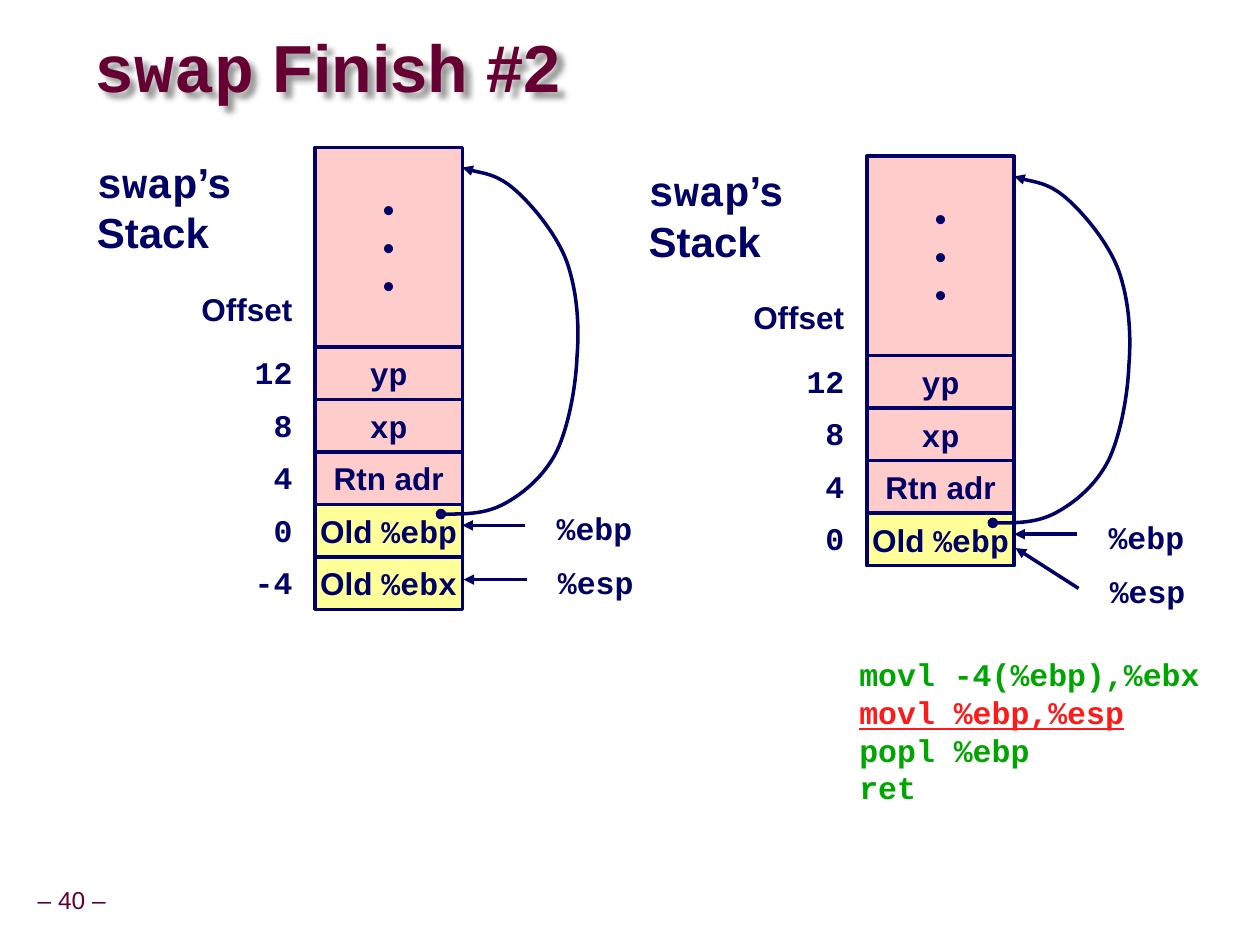
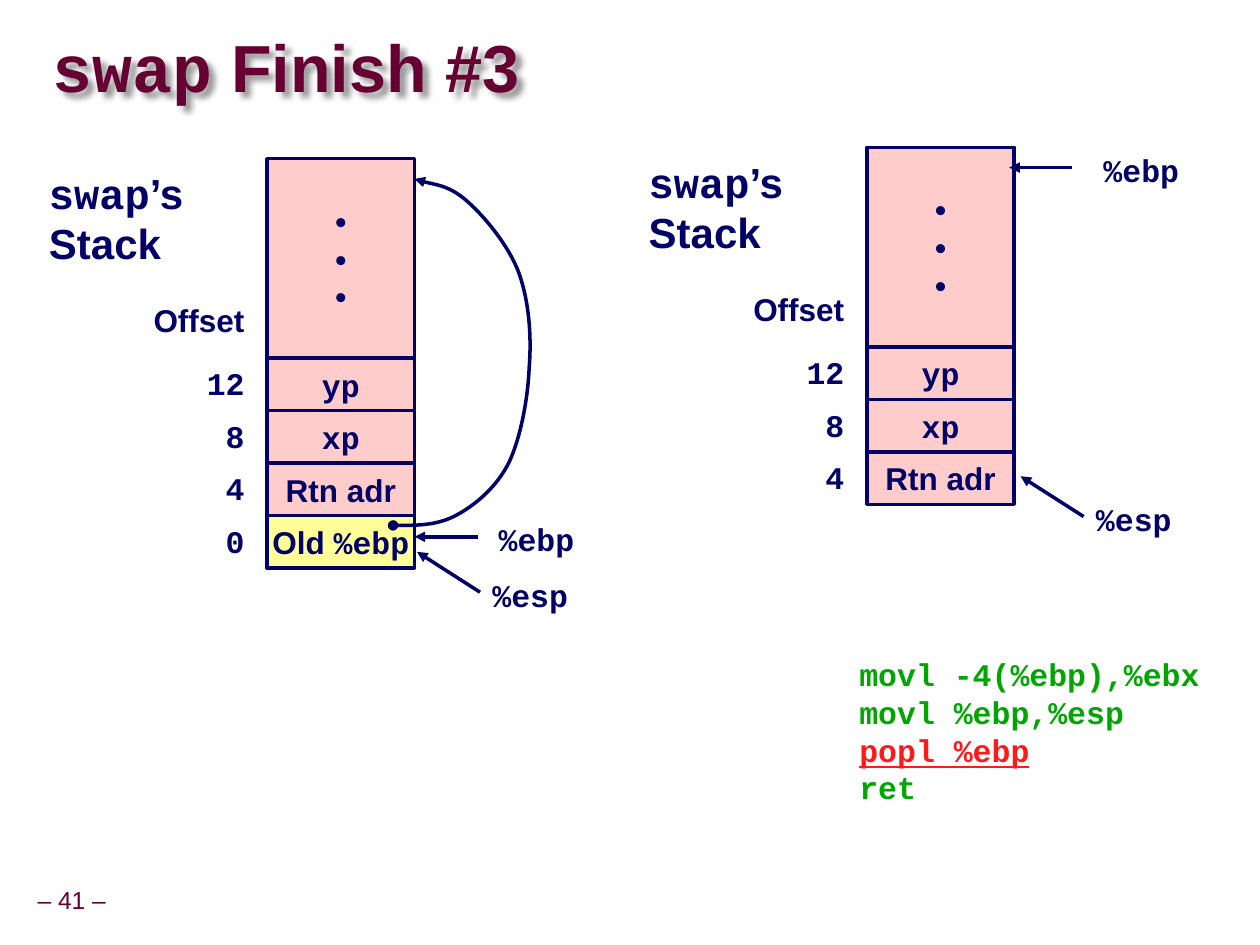
from dataclasses import dataclass
from typing import NamedTuple

from lxml.etree import SubElement
from pptx import Presentation
from pptx.dml.color import RGBColor
from pptx.enum.shapes import MSO_CONNECTOR, MSO_SHAPE
from pptx.enum.text import MSO_ANCHOR, MSO_AUTO_SIZE, PP_ALIGN
from pptx.oxml.ns import qn
from pptx.util import Inches, Pt

MAROON = RGBColor(0x66, 0x00, 0x33)
NAVY = RGBColor(0x00, 0x00, 0x66)
PINK = RGBColor(0xFF, 0xCC, 0xCC)
YELLOW = RGBColor(0xFF, 0xFF, 0x99)
GREEN = RGBColor(0x00, 0xA6, 0x00)
RED = RGBColor(0xFF, 0x1A, 0x1A)
SANS = "Arial"
MONO = "Courier New"

CELL_W = 1.17
CELL_H = 5 / 12
TOP_H = 19 / 12
ARROW_W = 0.5
LINE_RATIO = 1.2
CODE = ["movl -4(%ebp),%ebx", "movl %ebp,%esp", "popl %ebp", "ret"]
LINK_CURVE = [
    (1.0, 2.91), (1.17, 2.91), (1.35, 2.91), (1.5, 2.83),
    (1.65, 2.75), (1.82, 2.61), (1.92, 2.41),
    (2.01, 2.22), (2.07, 1.91), (2.08, 1.66),
    (2.1, 1.41), (2.08, 1.14), (2.0, 0.91),
    (1.92, 0.69), (1.72, 0.45), (1.58, 0.33),
    (1.44, 0.21), (1.24, 0.19), (1.17, 0.16),
]


class Span(NamedTuple):
    text: str
    font: str = SANS


class Cell(NamedTuple):
    spans: list[Span]
    fill: RGBColor = PINK


class Pointer(NamedTuple):
    register: str
    x: float
    y: float
    rise: float = 0
    gap: float = 0.15


@dataclass
class Stack:
    x: float
    y: float
    cells: list[Cell]
    pointers: list[Pointer]
    linked: bool = True


@dataclass
class Page:
    number: int
    title_x: float
    title_w: float
    heading: str
    current_line: int
    stacks: list[Stack]


ARGS = [
    Cell([Span("yp", MONO)]),
    Cell([Span("xp", MONO)]),
    Cell([Span("Rtn adr")]),
]
OLD_EBP = Cell([Span("Old "), Span("%ebp", MONO)], YELLOW)
OLD_EBX = Cell([Span("Old "), Span("%ebx", MONO)], YELLOW)
EBP = Pointer("%ebp", 1.67, 3.0)

PAGES = [
    Page(40, 0.75, 6.07, " Finish #2", 1, [
        Stack(2.5, 1.17, ARGS + [OLD_EBP, OLD_EBX],
              [EBP, Pointer("%esp", 1.68, 3.43)]),
        Stack(6.88, 1.24, ARGS + [OLD_EBP],
              [EBP, Pointer("%esp", 1.68, 3.43, rise=0.32)]),
    ]),
    Page(41, 0.42, 6.41, " Finish #3", 2, [
        Stack(2.12, 1.26, ARGS + [OLD_EBP],
              [EBP._replace(gap=0.07),
               Pointer("%esp", 1.69, 3.44, rise=0.32, gap=0)]),
        Stack(6.88, 1.17, ARGS,
              [Pointer("%ebp", 1.63, 0.16),
               Pointer("%esp", 1.72, 2.93, rise=0.32, gap=0)],
              linked=False),
    ]),
]


def add_run(p, span: Span, size: float, color: RGBColor, bold: bool = True):
    r = p.add_run()
    r.text = span.text
    r.font.name = span.font
    r.font.size = Pt(size)
    r.font.bold = bold
    r.font.color.rgb = color
    return r


def fill_text(tf, lines: list[list[Span]], size: float = 18, align=PP_ALIGN.LEFT) -> None:
    tf.word_wrap = False
    for i, spans in enumerate(lines):
        p = tf.add_paragraph() if i else tf.paragraphs[0]
        p.alignment = align
        p.line_spacing = Pt(size * LINE_RATIO)
        for span in spans:
            add_run(p, span, size, NAVY)


def add_label(s, x: float, y: float, w: float, h: float, lines: list[list[Span]],
              size: float = 18, align=PP_ALIGN.LEFT) -> None:
    sp = s.shapes.add_textbox(Inches(x), Inches(y), Inches(w), Inches(h))
    fill_text(sp.text_frame, lines, size, align)


def add_cell(s, x: float, y: float, h: float, lines: list[list[Span]], fill: RGBColor) -> None:
    sp = s.shapes.add_shape(MSO_SHAPE.RECTANGLE, Inches(x), Inches(y), Inches(CELL_W), Inches(h))
    sp.shadow.inherit = False
    sp.fill.solid()
    sp.fill.fore_color.rgb = fill
    sp.line.color.rgb = NAVY
    sp.line.width = Pt(2)
    sp.text_frame.vertical_anchor = MSO_ANCHOR.MIDDLE
    fill_text(sp.text_frame, lines, align=PP_ALIGN.CENTER)


def style_arrow(sp, head: str | None = None) -> None:
    sp.line.color.rgb = NAVY
    sp.line.width = Pt(2)
    ln = sp.element.spPr.find(qn("a:ln"))
    if head:
        SubElement(ln, qn("a:headEnd"), type=head)
    SubElement(ln, qn("a:tailEnd"), type="triangle")


def add_pointer(s, stack: Stack, pointer: Pointer) -> None:
    x, y = stack.x + pointer.x, stack.y + pointer.y
    sp = s.shapes.add_connector(MSO_CONNECTOR.STRAIGHT, Inches(x), Inches(y),
                                Inches(x - ARROW_W), Inches(y - pointer.rise))
    style_arrow(sp)
    SubElement(sp.element.spPr, qn("a:effectLst"))
    add_label(s, x + pointer.gap, y - 0.18, 0.8, 0.4, [[Span(pointer.register, MONO)]])


def add_link(s, stack: Stack) -> None:
    points = [(Inches(stack.x + dx), Inches(stack.y + dy)) for dx, dy in LINK_CURVE]
    builder = s.shapes.build_freeform(*points[0])
    builder.add_line_segments(points[1:], close=False)
    sp = builder.convert_to_shape()
    sp.shadow.inherit = False
    sp.fill.background()
    style_arrow(sp, head="oval")
    segments = list(sp.element.iter(qn("a:lnTo")))
    outline = segments[0].getparent()
    for i in range(0, len(segments), 3):
        curve = SubElement(outline, qn("a:cubicBezTo"))
        for segment in segments[i:i + 3]:
            curve.append(segment[0])
            outline.remove(segment)


def add_stack(s, stack: Stack) -> None:
    x, y = stack.x, stack.y
    add_label(s, x - 1.83, y + 0.02, 1.28, 0.9,
              [[Span("swap", MONO), Span("’s")], [Span("Stack")]], size=24)
    add_label(s, x - 1, y + 1.08, 0.92, 0.4, [[Span("Offset")]])
    for i, cell in enumerate(stack.cells):
        top = y + TOP_H + i * CELL_H
        add_cell(s, x, top, CELL_H, [cell.spans], cell.fill)
        add_label(s, x - 0.58, top, 0.5, 0.4, [[Span(str(12 - 4 * i), MONO)]],
                  align=PP_ALIGN.RIGHT)
    add_cell(s, x, y, TOP_H, [[Span("•")]] * 3, PINK)
    for pointer in stack.pointers:
        add_pointer(s, stack, pointer)
    if stack.linked:
        add_link(s, stack)


def add_title(s, page: Page) -> None:
    sp = s.shapes.title
    sp.left, sp.top = Inches(page.title_x), Inches(0.25)
    sp.width, sp.height = Inches(page.title_w), Inches(0.63)
    sp.fill.background()
    effects = SubElement(sp.element.spPr, qn("a:effectLst"))
    shadow = SubElement(effects, qn("a:outerShdw"), blurRad=str(Inches(0.05)),
                        dist=str(Inches(0.06)), dir="2700000")
    color = SubElement(shadow, qn("a:srgbClr"), val="000000")
    SubElement(color, qn("a:alpha"), val="40000")
    tf = sp.text_frame
    tf.margin_left = tf.margin_right = tf.margin_top = tf.margin_bottom = 0
    tf.vertical_anchor = MSO_ANCHOR.MIDDLE
    tf.auto_size = MSO_AUTO_SIZE.NONE
    tf.word_wrap = True
    p = tf.paragraphs[0]
    p.alignment = PP_ALIGN.LEFT
    p.line_spacing = 0.87
    for span in (Span("swap", MONO), Span(page.heading)):
        add_run(p, span, 38, MAROON)


def add_page_number(s, number: int) -> None:
    sp = s.shapes.add_textbox(Inches(0.24), Inches(7), Inches(0.66), Inches(0.31))
    tf = sp.text_frame
    tf.margin_left = tf.margin_right = tf.margin_top = tf.margin_bottom = Inches(0.05)
    tf.vertical_anchor = MSO_ANCHOR.MIDDLE
    tf.word_wrap = False
    p = tf.paragraphs[0]
    p.alignment = PP_ALIGN.CENTER
    p.line_spacing = 0.9
    add_run(p, Span(f"– {number} –"), 14, MAROON, bold=False)


def add_code(s, current_line: int) -> None:
    sp = s.shapes.add_textbox(Inches(6.22), Inches(5.15), Inches(3.42), Inches(1.3))
    tf = sp.text_frame
    tf.word_wrap = True
    tf.margin_left = Inches(0.6)
    for i, line in enumerate(CODE):
        p = tf.add_paragraph() if i else tf.paragraphs[0]
        p.line_spacing = Pt(18 * LINE_RATIO)
        current = i == current_line
        r = add_run(p, Span(line, MONO), 18, RED if current else GREEN)
        r.font.underline = current


def main() -> None:
    prs = Presentation()
    prs.slide_width, prs.slide_height = Inches(10), Inches(7.5)
    for page in PAGES:
        s = prs.slides.add_slide(prs.slide_layouts[5])
        add_title(s, page)
        add_page_number(s, page.number)
        add_code(s, page.current_line)
        for stack in page.stacks:
            add_stack(s, stack)
    prs.save("out.pptx")


if __name__ == "__main__":
    main()
